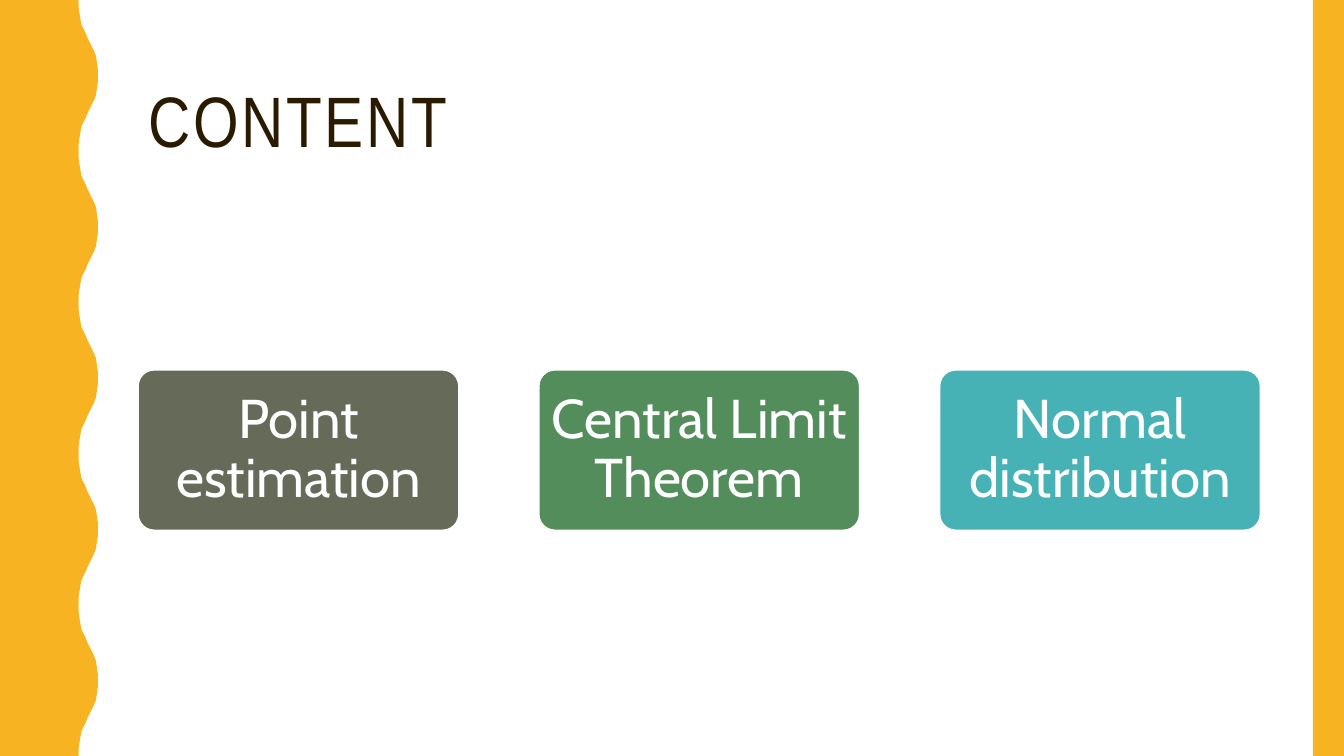
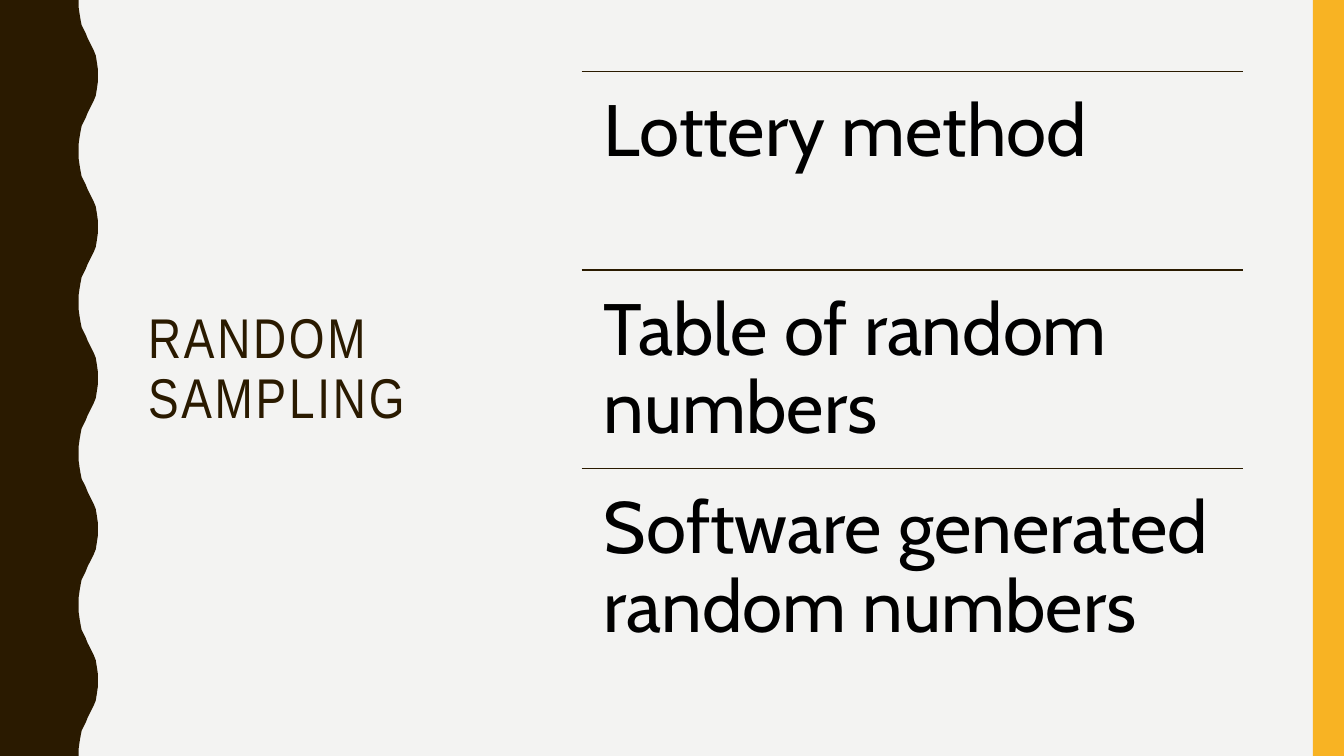
from pptx import Presentation, util as u
from pptx.dml.color import RGBColor
from pptx.enum import shapes, text
from pptx.oxml import xmlchemy

Inches = u.Inches

# Content
CONTENT_TITLE = "CONTENT"
SAMPLING_TITLE = "RANDOM SAMPLING"
DARK = RGBColor(0x2A, 0x1A, 0x00)
AMBER = RGBColor(0xF8, 0xB3, 0x23)
WHITE = RGBColor(0xFF, 0xFF, 0xFF)
BLACK = RGBColor(0x00, 0x00, 0x00)
PALE = RGBColor(0xF3, 0xF3, 0xF2)
TOPICS = [
    ("Point estimation", RGBColor(0x65, 0x6A, 0x59)),
    ("Central Limit Theorem", RGBColor(0x52, 0x8D, 0x5B)),
    ("Normal distribution", RGBColor(0x46, 0xB2, 0xB5)),
]
METHODS = [
    "Lottery method",
    "Table of random numbers",
    "Software generated random numbers",
]

# Shared style
TITLE_FONT, BODY_FONT = "Arial Narrow", "Cabin"
WIDTH, HEIGHT = 13.33, 7.5
BAND_WIDTH = 0.31
LEFT = 1.37
WAVE_PERIOD = 1.5
HALF_WAVE = [
    (0.78, 0), (0.78, 0.07), (0.79, 0.14), (0.8, 0.2), (0.81, 0.25),
    (0.83, 0.29), (0.85, 0.33), (0.87, 0.38), (0.89, 0.42), (0.91, 0.46),
    (0.93, 0.5), (0.95, 0.55), (0.96, 0.61), (0.97, 0.68), (0.97, 0.75),
]


def paint(shape, color):
    shape.shadow.inherit = False
    shape.fill.solid()
    shape.fill.fore_color.rgb = color
    shape.line.fill.background()


def write(shape, words, font, size, color, margins=(0.1, 0.05),
          anchor=text.MSO_ANCHOR.MIDDLE, align=text.PP_ALIGN.LEFT, spacing=0):
    frame = shape.text_frame
    frame.word_wrap = True
    frame.vertical_anchor = anchor
    frame.margin_left = frame.margin_right = Inches(margins[0])
    frame.margin_top = frame.margin_bottom = Inches(margins[1])
    paragraph = frame.paragraphs[0]
    paragraph.alignment = align
    paragraph.line_spacing = 0.9
    run = paragraph.add_run()
    run.text = words
    run.font.name = font
    run.font.size = u.Pt(size)
    run.font.color.rgb = color
    if spacing:
        run.font._element.set("spc", str(spacing * 100))


def add_box(slide, left, top, width, height):
    return slide.shapes.add_textbox(*map(Inches, (left, top, width, height)))


def add_wave(slide, color):
    mirrored = [(x, WAVE_PERIOD - y) for x, y in reversed(HALF_WAVE[:-1])]
    edge = [(x, y + i * WAVE_PERIOD)
            for i in range(round(HEIGHT / WAVE_PERIOD))
            for x, y in HALF_WAVE + mirrored]
    builder = slide.shapes.build_freeform(0, 0)
    builder.add_line_segments(
        [(Inches(x), Inches(y)) for x, y in edge + [(0, HEIGHT)]], close=True)
    paint(builder.convert_to_shape(), color)


def add_slide(presentation, background, wave_color, title, box, size):
    """Blank slide with the wave, the right band and the title."""
    slide = presentation.slides.add_slide(presentation.slide_layouts[6])
    slide.background.fill.solid()
    slide.background.fill.fore_color.rgb = background
    add_wave(slide, wave_color)
    band = slide.shapes.add_shape(
        shapes.MSO_SHAPE.RECTANGLE, Inches(WIDTH - BAND_WIDTH), 0,
        Inches(BAND_WIDTH), Inches(HEIGHT))
    paint(band, AMBER)
    write(add_box(slide, *box), title, TITLE_FONT, size, DARK, spacing=2)
    return slide


def add_topics(slide):
    # Cards spread evenly over the content width
    top, width, height, right = 3.67, 3.18, 1.59, 12.5
    step = (right - LEFT - width) / (len(TOPICS) - 1)
    for i, (words, color) in enumerate(TOPICS):
        card = slide.shapes.add_shape(
            shapes.MSO_SHAPE.ROUNDED_RECTANGLE,
            *map(Inches, (LEFT + i * step, top, width, height)))
        card.adjustments[0] = 0.1
        paint(card, color)
        card.line.color.rgb = WHITE
        card.line.width = u.Pt(1)
        write(card, words, BODY_FONT, 39, WHITE, margins=(0.07, 0.05),
              align=text.PP_ALIGN.CENTER)


def add_methods(slide):
    # Rows of equal height, each under a thin rule
    left, top, width, height = 5.77, 0.71, 6.56, 1.97
    for i, words in enumerate(METHODS):
        y = top + i * height
        rule = slide.shapes.add_connector(
            shapes.MSO_CONNECTOR.STRAIGHT,
            *map(Inches, (left, y, left + width, y)))
        rule.line.color.rgb = DARK
        rule.line.width = u.Pt(1)
        rule._element.spPr.append(xmlchemy.OxmlElement("a:effectLst"))
        write(add_box(slide, left, y, width, height), words, BODY_FONT, 52,
              BLACK, margins=(0.22, 0.22), anchor=text.MSO_ANCHOR.TOP)


def main():
    presentation = Presentation()
    presentation.slide_width = Inches(WIDTH)
    presentation.slide_height = Inches(HEIGHT)
    add_topics(add_slide(presentation, WHITE, AMBER, CONTENT_TITLE,
                         (LEFT, 0.42, 11.13, 1.63), 51))
    add_methods(add_slide(presentation, PALE, DARK, SAMPLING_TITLE,
                          (LEFT, 0.71, 3.7, 5.93), 40))
    presentation.save("out.pptx")


if __name__ == "__main__":
    main()
